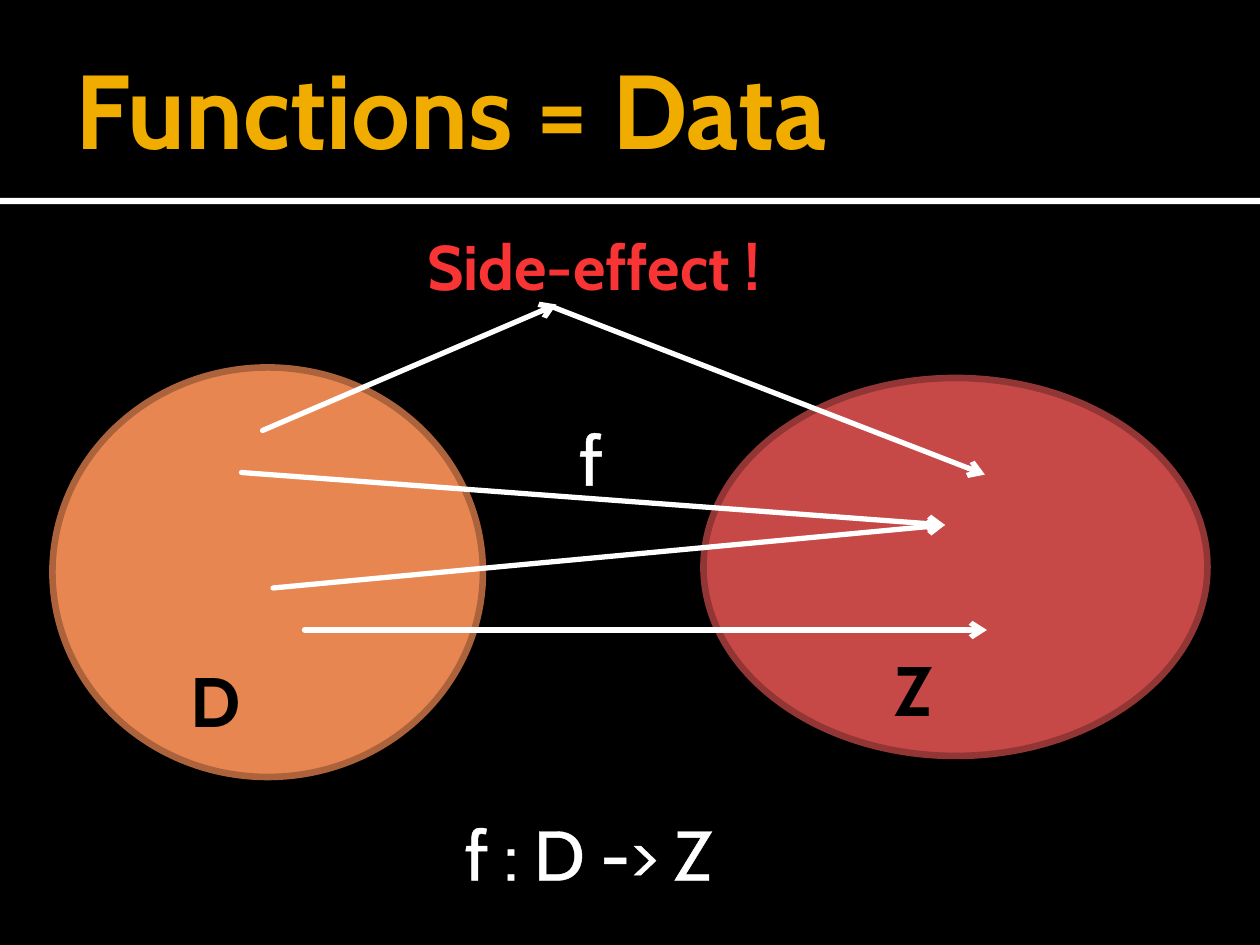
from dataclasses import dataclass

from lxml.etree import SubElement
from pptx import Presentation
from pptx.dml.color import RGBColor
from pptx.enum.shapes import MSO_CONNECTOR as Connector, MSO_SHAPE as Shape
from pptx.enum.text import MSO_ANCHOR as Anchor, PP_ALIGN as Align
from pptx.oxml import parse_xml
from pptx.oxml.ns import nsdecls, qn
from pptx.util import Inches, Pt

GRID = 12  # grid steps per inch


@dataclass(frozen=True)
class Theme:
    font: str = "Cabin"
    background: str = "000000"
    title: str = "F0AD00"
    light: str = "FFFFFF"
    dark: str = "000000"
    domain: tuple = ("E88651", "AC633C")
    codomain: tuple = ("C64847", "923535")
    warning: tuple = ((0, "820504"), (78, "F83534"), (100, "FFEDEC"))
    title_size: float = 60
    label_size: float = 40
    warning_size: float = 36
    set_border: float = 3.78
    arrow_width: float = 3
    text_outline: float = 1.45


THEME = Theme()


@dataclass(frozen=True)
class Box:
    """An area in grid steps."""
    left: float
    top: float
    width: float
    height: float

    def inner(self, left, top, width, height):
        return Box(self.left + left, self.top + top, width, height)

    def point(self, column, row):
        return steps(self.left + column), steps(self.top + row)

    def emu(self):
        return [steps(n) for n in (self.left, self.top, self.width, self.height)]


def steps(count):
    return Inches(count / GRID)


def rgb(color):
    return RGBColor.from_string(color)


def add_text(slide, box, text, size=THEME.label_size, color=THEME.light, bold=False,
             align=Align.LEFT, anchor=Anchor.TOP, right_inset=0.1,
             outlined=False, gradient=None):
    frame = slide.shapes.add_textbox(*box.emu()).text_frame
    frame.word_wrap = True
    frame.vertical_anchor = anchor
    frame.margin_right = Inches(right_inset)
    paragraph = frame.paragraphs[0]
    paragraph.alignment = align
    run = paragraph.add_run()
    run.text = text
    font = run.font
    font.name, font.size, font.bold = THEME.font, Pt(size), bold
    font.color.rgb = rgb(color)
    if gradient:
        apply_gradient(font, gradient)
    if outlined:
        outline = parse_xml(
            f'<a:ln {nsdecls("a")} w="{Pt(THEME.text_outline)}"><a:solidFill>'
            f'<a:srgbClr val="{color}"/></a:solidFill></a:ln>')
        run._r.get_or_add_rPr().insert(0, outline)


def apply_gradient(font, stops):
    """Replace the solid text fill by a vertical gradient."""
    marks = "".join(f'<a:gs pos="{position * 1000}"><a:srgbClr val="{color}"/></a:gs>'
                    for position, color in stops)
    solid = font._element.find(qn("a:solidFill"))
    solid.getparent().replace(solid, parse_xml(
        f'<a:gradFill {nsdecls("a")}><a:gsLst>{marks}</a:gsLst>'
        '<a:lin ang="5400000" scaled="0"/></a:gradFill>'))


def add_filled(slide, kind, box, fill, border=None):
    shape = slide.shapes.add_shape(kind, *box.emu())
    shape.shadow.inherit = False
    shape.fill.solid()
    shape.fill.fore_color.rgb = rgb(fill)
    if border:
        shape.line.color.rgb = rgb(border)
        shape.line.width = Pt(THEME.set_border)
    else:
        shape.line.fill.background()


def add_arrow(slide, start, end):
    arrow = slide.shapes.add_connector(Connector.STRAIGHT, *start, *end)
    arrow.line.color.rgb = rgb(THEME.light)
    arrow.line.width = Pt(THEME.arrow_width)
    line = arrow.line._get_or_add_ln()
    line.set("cap", "rnd")
    SubElement(line, qn("a:tailEnd"), type="arrow")
    SubElement(arrow._element.spPr, qn("a:effectLst"))


def add_header(slide, box):
    rule_height = 0.6
    add_filled(slide, Shape.RECTANGLE,
               box.inner(0, box.height, box.width, rule_height), THEME.light)
    add_text(slide, box.inner(6, 2, box.width - 12, 16.5), "Functions = Data",
             size=THEME.title_size, color=THEME.title, bold=True,
             anchor=Anchor.MIDDLE, right_inset=0.05)


def add_mapping(slide, box):
    """Two sets, the arrows of f between them, and a detour by a side effect."""
    label = (24, 9.2)
    add_filled(slide, Shape.OVAL, box.inner(0, 14, 41, 39), *THEME.domain)
    add_filled(slide, Shape.OVAL, box.inner(62, 15, 48, 36), *THEME.codomain)
    for name, column, row in (("D", 12, 41), ("Z", 79, 40)):
        add_text(slide, box.inner(column, row, *label), name,
                 color=THEME.dark, bold=True)

    shared_value = (85, 29)
    for start, end in (
        ((18, 24), shared_value),
        ((24, 39), (89, 39)),
        ((21, 35), shared_value),
        ((20, 20), (48, 8)),
        ((47.8, 8.3), (88.8, 24.2)),
    ):
        add_arrow(slide, box.point(*start), box.point(*end))

    add_text(slide, box.inner(49, 18, *label), "f", outlined=True)
    add_text(slide, box.inner(23, 0.1, 57.1, 8.5), "Side-effect !",
             size=THEME.warning_size, bold=True, align=Align.CENTER,
             gradient=THEME.warning)


def add_signature(slide, box):
    add_text(slide, box, "f : D -> Z", outlined=True)


def main():
    presentation = Presentation()
    presentation.slide_width, presentation.slide_height = Inches(10), Inches(7.5)
    slide = presentation.slides.add_slide(presentation.slide_layouts[6])
    slide.background.fill.solid()
    slide.background.fill.fore_color.rgb = rgb(THEME.background)

    add_header(slide, Box(0, 0, 120, 18.84))
    add_mapping(slide, Box(5, 21, 110, 53))
    add_signature(slide, Box(43.1, 76.6, 32, 9.2))
    presentation.save("out.pptx")


if __name__ == "__main__":
    main()
